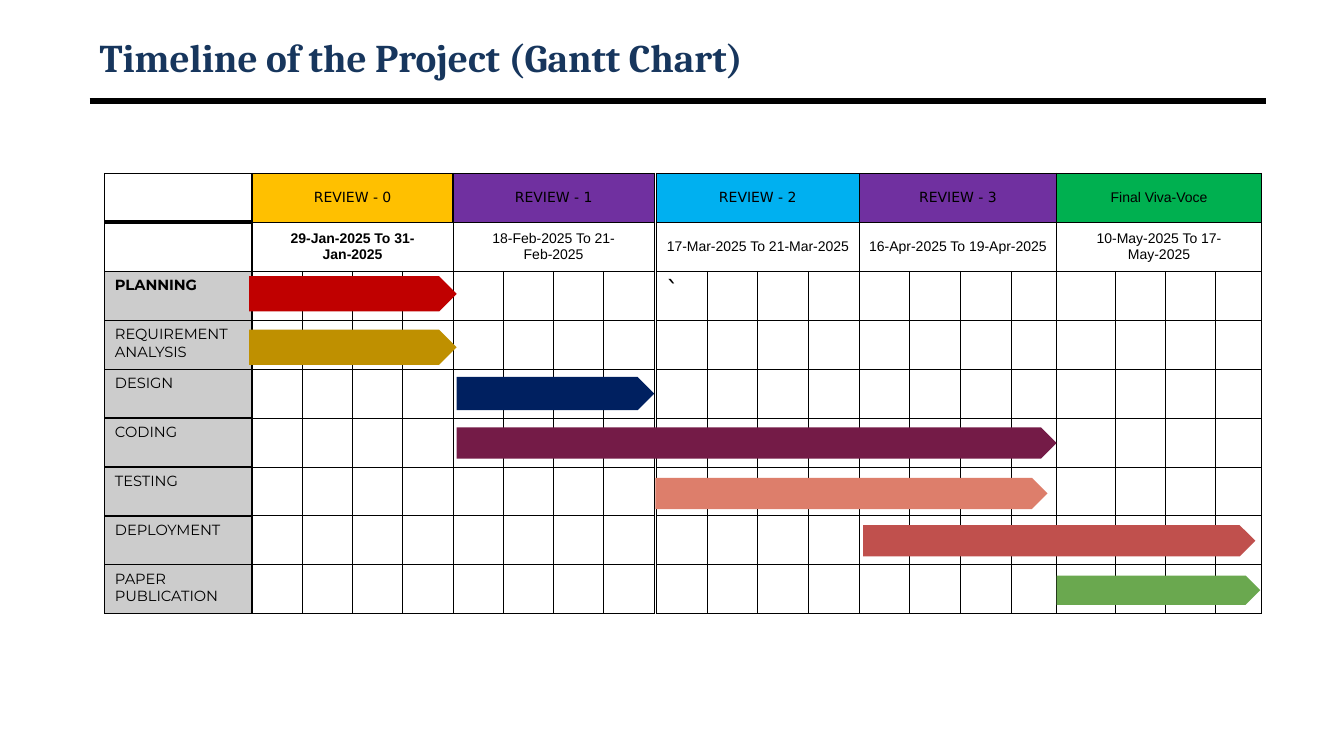
from dataclasses import dataclass
from typing import Any

from lxml import etree
from pptx import Presentation
from pptx.dml.color import RGBColor
from pptx.enum.shapes import MSO_CONNECTOR, MSO_SHAPE
from pptx.enum.text import MSO_ANCHOR, PP_ALIGN
from pptx.oxml.ns import qn
from pptx.util import Inches, Pt

STRAIGHT = MSO_CONNECTOR.STRAIGHT
PENTAGON = MSO_SHAPE.PENTAGON
MIDDLE, TOP = MSO_ANCHOR.MIDDLE, MSO_ANCHOR.TOP
LEFT, CENTER = PP_ALIGN.LEFT, PP_ALIGN.CENTER


@dataclass(frozen=True)
class Theme:
    black: str = "000000"
    white: str = "FFFFFF"
    navy: str = "17365D"
    label_grey: str = "CCCCCC"
    amber: str = "FFC000"
    purple: str = "7030A0"
    sky: str = "00B0F0"
    green: str = "00B050"
    title_size: float = 28
    header_size: float = 10
    label_size: float = 10.5
    mark_size: float = 18
    thin: float = 0.75
    medium: float = 1
    thick: float = 3
    rule: float = 4.5


THEME = Theme()


@dataclass(frozen=True)
class Phase:
    heading: str
    dates: str
    fill: str
    heading_font: str = "DejaVu Sans"
    bold_dates: bool = False


@dataclass(frozen=True)
class Section:
    left: float
    weeks: list[float]
    phases: list[Phase]
    label_width: float = 0
    first_edge: float = THEME.medium
    mark: str = ""


@dataclass(frozen=True)
class Bar:
    left: float
    top: float
    width: float
    height: float
    fill: str


TASKS = ["PLANNING", "REQUIREMENT ANALYSIS", "DESIGN", "CODING", "TESTING",
         "DEPLOYMENT", "PAPER PUBLICATION"]
WEEKS_PER_PHASE = 4
HEADER_ROWS = 2
ROW_COUNT = HEADER_ROWS + len(TASKS)
GRID_TOP, GRID_HEIGHT = 1.72, 4.37

SECTIONS = [
    Section(1.04, [3.99 / 8] * 8, [
        Phase("REVIEW - 0", "29-Jan-2025 To 31-Jan-2025", THEME.amber, bold_dates=True),
        Phase("REVIEW - 1", "18-Feb-2025 To 21-Feb-2025", THEME.purple),
    ], label_width=1.46),
    Section(6.51, [3.52 / 7] * 7 + [0.45], [
        Phase("REVIEW - 2", "17-Mar-2025 To 21-Mar-2025", THEME.sky),
        Phase("REVIEW - 3", "16-Apr-2025 To 19-Apr-2025", THEME.purple),
    ], mark="`"),
    Section(10.48, [0.58, 0.5, 0.5, 0.45], [
        Phase("Final Viva-Voce", "10-May-2025 To 17-May-2025", THEME.green, "Arial"),
    ], first_edge=THEME.thin),
]

BARS = [
    Bar(2.47, 2.74, 2.06, 0.35, "C00000"),
    Bar(2.47, 3.27, 2.06, 0.35, "BF9000"),
    Bar(4.53, 3.74, 1.96, 0.33, "002060"),
    Bar(4.53, 4.24, 5.95, 0.31, "741B47"),
    Bar(6.5, 4.74, 3.89, 0.31, "DD7E6B"),
    Bar(8.56, 5.21, 3.89, 0.31, "C0504D"),
    Bar(10.48, 5.71, 2.02, 0.29, "6AA84F"),
]


def apply_format(target: Any, values: dict[str, Any]) -> None:
    for attribute, value in values.items():
        setattr(target, attribute, value)


def write(frame: Any, text: str, font: str, size: float, color: str = THEME.black,
          bold: bool = False, align: Any = LEFT) -> None:
    paragraph = frame.paragraphs[0]
    paragraph.alignment = align
    run = paragraph.add_run()
    run.text = text
    apply_format(run.font, {"name": font, "size": Pt(size), "bold": bold})
    run.font.color.rgb = RGBColor.from_string(color)


def style_cell(cell: Any, fill: str, edges: dict[str, float]) -> None:
    properties = cell._tc.get_or_add_tcPr()
    for side in "LRTB":
        width = str(Pt(edges.get(side, THEME.thin)))
        line = etree.SubElement(properties, qn(f"a:ln{side}"), w=width)
        solid = etree.SubElement(line, qn("a:solidFill"))
        etree.SubElement(solid, qn("a:srgbClr"), val=THEME.black)
    cell.fill.solid()
    cell.fill.fore_color.rgb = RGBColor.from_string(fill)


def cell_edges(section: Section, row: int, week: int) -> dict[str, float]:
    """Border widths that differ from the thin grid; week -1 is the label column."""
    if week < 0:
        edges = dict.fromkeys("LRTB", THEME.medium)
        if row < HEADER_ROWS:
            edges["B" if row == 0 else "T"] = THEME.thick
        return edges
    if row == 0:
        return dict.fromkeys("LRT", THEME.medium)
    if row >= HEADER_ROWS and week == 0:
        return {"L": section.first_edge}
    return {}


def draw_section(slide: Any, section: Section) -> None:
    offset = 1 if section.label_width else 0
    widths = [section.label_width] * offset + section.weeks
    table = slide.shapes.add_table(
        ROW_COUNT, len(widths), Inches(section.left), Inches(GRID_TOP),
        Inches(sum(widths)), Inches(GRID_HEIGHT)).table
    apply_format(table, {"first_row": False, "horz_banding": False})
    for column, width in zip(table.columns, widths):
        column.width = Inches(width)

    # Grid, fills and borders
    for row in range(ROW_COUNT):
        table.rows[row].height = Inches(GRID_HEIGHT / ROW_COUNT)
        for column in range(len(widths)):
            week = column - offset
            fill = THEME.white
            if week < 0 and row >= HEADER_ROWS:
                fill = THEME.label_grey
            elif week >= 0 and row == 0:
                fill = section.phases[week // WEEKS_PER_PHASE].fill
            style_cell(table.cell(row, column), fill, cell_edges(section, row, week))

    # Phase headings and dates
    for index, phase in enumerate(section.phases):
        first = offset + index * WEEKS_PER_PHASE
        rows = [(phase.heading, phase.heading_font, False),
                (phase.dates, "Arial", phase.bold_dates)]
        for row, (text, font, bold) in enumerate(rows):
            cell = table.cell(row, first)
            cell.merge(table.cell(row, first + WEEKS_PER_PHASE - 1))
            cell.vertical_anchor = MIDDLE
            write(cell.text_frame, text, font, THEME.header_size, bold=bold, align=CENTER)

    # Task labels
    if section.label_width:
        for row, task in enumerate(TASKS, HEADER_ROWS):
            cell = table.cell(row, 0)
            cell.vertical_anchor = TOP
            write(cell.text_frame, task, "Montserrat", THEME.label_size,
                  bold=row == HEADER_ROWS)
    if section.mark:
        write(table.cell(HEADER_ROWS, 0).text_frame, section.mark, "DejaVu Sans",
              THEME.mark_size)


def draw_bar(slide: Any, bar: Bar) -> None:
    arrow = slide.shapes.add_shape(PENTAGON, Inches(bar.left), Inches(bar.top),
                                   Inches(bar.width), Inches(bar.height))
    arrow.shadow.inherit = False
    arrow.fill.solid()
    arrow.fill.fore_color.rgb = RGBColor.from_string(bar.fill)
    arrow.line.fill.background()


def draw_title(slide: Any) -> None:
    rule = slide.shapes.add_connector(STRAIGHT, Inches(0.89), Inches(1),
                                      Inches(12.56), Inches(1))
    rule.line.width = Pt(THEME.rule)
    rule.line.color.rgb = RGBColor.from_string(THEME.black)
    etree.SubElement(rule._element.spPr, qn("a:effectLst"))
    title = slide.shapes.add_textbox(Inches(0.89), Inches(0.3), Inches(11.67), Inches(0.53))
    apply_format(title.text_frame, {"word_wrap": True, "vertical_anchor": MIDDLE})
    write(title.text_frame, "Timeline of the Project (Gantt Chart)", "Cambria",
          THEME.title_size, THEME.navy, bold=True)


def main() -> None:
    deck = Presentation()
    apply_format(deck, {"slide_width": Inches(13.33), "slide_height": Inches(7.5)})
    slide = deck.slides.add_slide(deck.slide_layouts[6])
    draw_title(slide)
    for section in SECTIONS:
        draw_section(slide, section)
    for bar in BARS:
        draw_bar(slide, bar)
    deck.save("out.pptx")


if __name__ == "__main__":
    main()
